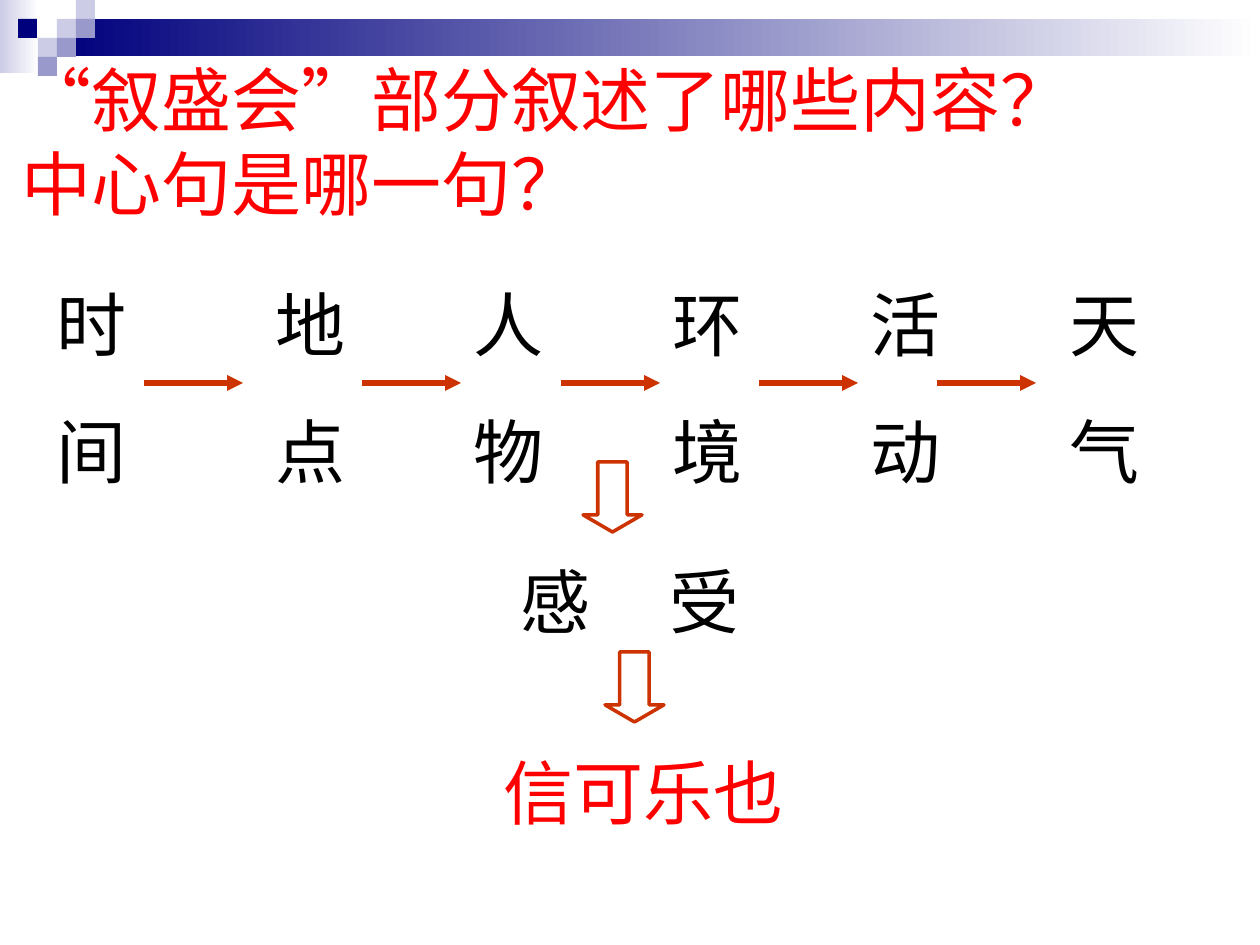
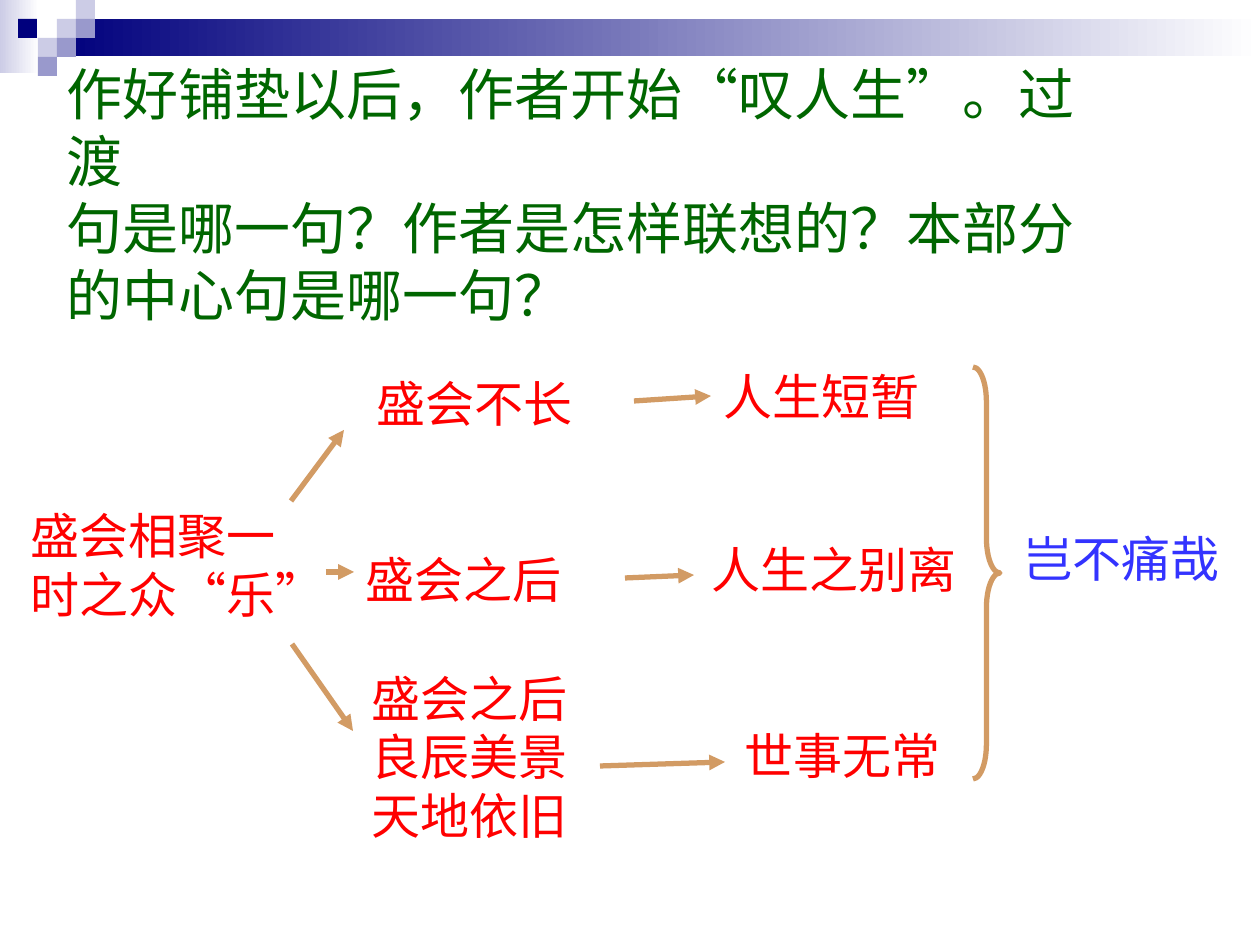
from dataclasses import dataclass

from lxml.etree import SubElement
from pptx import Presentation
from pptx.dml.color import RGBColor
from pptx.enum.dml import MSO_FILL
from pptx.enum.lang import MSO_LANGUAGE_ID as Language
from pptx.enum.shapes import MSO_CONNECTOR as Connector, MSO_SHAPE as Shape
from pptx.enum.text import MSO_ANCHOR as Anchor, MSO_AUTO_SIZE as AutoSize, PP_ALIGN as Align
from pptx.oxml.ns import qn
from pptx.util import Emu, Pt

EMU_PER_PX = 914400 / 126
TITLE_ONLY = 5
LEFT_SIDE, RIGHT_SIDE = 1, 3

WHITE = RGBColor(0xFF, 0xFF, 0xFF)
BLACK = RGBColor(0x00, 0x00, 0x00)
NAVY = RGBColor(0x00, 0x00, 0x7D)
PALE_LILAC = RGBColor(0xCC, 0xCC, 0xE6)
LILAC = RGBColor(0x99, 0x99, 0xCC)
RED = RGBColor(0xFF, 0x00, 0x00)
RUST = RGBColor(0xCC, 0x33, 0x00)
GREEN = RGBColor(0x00, 0x66, 0x00)
TAN = RGBColor(0xD2, 0x9B, 0x64)
BLUE = RGBColor(0x33, 0x33, 0xFF)


@dataclass(frozen=True)
class Box:
    """A rectangle in px."""

    left: int
    top: int
    width: int
    height: int

    def inside(self, left, top, width, height):
        """Return a box offset from this one's corner."""
        return Box(self.left + left, self.top + top, width, height)

    def emu(self):
        """Return the four lengths in EMU."""
        return [px(n) for n in (self.left, self.top, self.width, self.height)]


def px(length):
    """Turn px into EMU."""
    return Emu(round(length * EMU_PER_PX))


def set_values(target, values):
    """Set each attribute named in a dict."""
    for name, value in values.items():
        setattr(target, name, value)


def write(frame, lines, size, color, wrap=False, gap=0, tab=None):
    """Fill a text frame with one paragraph per line."""
    set_values(frame, {
        "text": "\n".join(lines),
        "word_wrap": wrap,
        "vertical_anchor": Anchor.TOP,
        "auto_size": AutoSize.NONE if wrap else AutoSize.SHAPE_TO_FIT_TEXT,
    })
    for index, para in enumerate(frame.paragraphs):
        set_values(para, {"alignment": Align.LEFT, "space_before": Pt(gap if index else 0)})
        if tab:
            stops = SubElement(para._p.get_or_add_pPr(), qn("a:tabLst"))
            SubElement(stops, qn("a:tab"), pos=str(px(tab)), algn="l")
        for span in para.runs:
            set_values(span.font, {"name": "Arial", "size": Pt(size),
                                   "language_id": Language.SIMPLIFIED_CHINESE})
            span.font.color.rgb = color


def add_text(page, box, lines, size, color, **options):
    """Add a text box."""
    label = page.shapes.add_textbox(*box.emu())
    write(label.text_frame, lines, size, color, **options)
    return label


def add_figure(page, kind, box, fill=None, line=None, width=2, adjustments=()):
    """Add a preset shape; a pair of fill colours makes a gradient."""
    figure = page.shapes.add_shape(kind, *box.emu())
    figure.shadow.inherit = False
    for index, value in enumerate(adjustments):
        figure.adjustments[index] = value
    if fill is None:
        figure.fill.background()
    elif isinstance(fill, list):
        figure.fill.gradient()
        figure.fill.gradient_angle = 0
        for stop, color in zip(figure.fill.gradient_stops, fill):
            stop.color.rgb = color
    else:
        figure.fill.solid()
        figure.fill.fore_color.rgb = fill
    if line is None:
        figure.line.fill.background()
    else:
        figure.line.color.rgb = line
        figure.line.width = Pt(width)


def add_arrow(page, box, start, end, color, source=None, target=None):
    """Add an arrow between two points of a box, joined to labels if given."""
    points = [px(n) for x, y in (start, end) for n in (box.left + x, box.top + y)]
    arrow = page.shapes.add_connector(Connector.STRAIGHT, *points)
    if source is not None:
        arrow.begin_connect(source, RIGHT_SIDE)
    if target is not None:
        arrow.end_connect(target, LEFT_SIDE)
    arrow.line.color.rgb = color
    arrow.line.width = Pt(3)
    properties = arrow.element.spPr
    SubElement(properties.find(qn("a:ln")), qn("a:tailEnd"), type="triangle")
    SubElement(properties, qn("a:effectLst"))


def add_band(page, box):
    """Draw the gradient band and its mosaic of squares."""
    add_figure(page, Shape.RECTANGLE, box.inside(0, 0, 39, 73), [PALE_LILAC, WHITE])
    add_figure(page, Shape.RECTANGLE, box.inside(57, 19, box.width - 57, 37), [NAVY, WHITE])
    squares = [(57, 19, PALE_LILAC), (76, 0, PALE_LILAC), (76, 19, LILAC),
               (38, 38, PALE_LILAC), (18, 19, NAVY), (57, 38, LILAC), (38, 57, LILAC)]
    for left, top, color in squares:
        add_figure(page, Shape.RECTANGLE, box.inside(left, top, 19, 19), color)


def add_page(deck, title_box, lines, size, color):
    """Add a slide with the band and a question as its title."""
    page = deck.slides.add_slide(deck.slide_layouts[TITLE_ONLY])
    add_band(page, Box(0, 0, 1260, 75))
    title = page.shapes.title
    set_values(title, dict(zip(("left", "top", "width", "height"), title_box.emu())))
    write(title.text_frame, lines, size, color)
    return page


def add_topics(page, box):
    """Place the row of vertical two-character topics and the arrows between."""
    columns = [("时间", 0, 218), ("地点", 219, 198), ("人物", 417, 152),
               ("环境", 616, 139), ("活动", 814, 132), ("天气", 1013, 132)]
    labels = [add_text(page, box.inside(left, 0, width, box.height), list(word), 40, BLACK,
                       wrap=True, gap=25)
              for word, left, width in columns]
    middle, length = box.height // 2, 99
    for index, start in enumerate((100, 318, 517, 715, 893)):
        end = start + length
        label, left = labels[index + 1], columns[index + 1][1]
        add_arrow(page, box, (start, middle), (end, middle), RUST,
                  target=label if end == left else None)


def add_conclusion(page, box):
    """Place the feeling and the key sentence, each under a block arrow."""
    for left, top in ((75, 0), (97, 190)):
        add_figure(page, Shape.DOWN_ARROW, box.inside(left, top, 59, 70), WHITE, RUST,
                   adjustments=(0.5, 0.29))
    add_text(page, box.inside(0, 90, 300, 97), ["感\t受"], 40, BLACK, wrap=True, tab=149)
    add_text(page, box.inside(-17, 281, 305, 97), ["信可乐也"], 40, RED)


def add_associations(page, box):
    """Place the chain of associations with its arrows."""
    notes = {
        "gathering": ((0, 132, 319, 131), ["盛会相聚一", "时之众“乐”"]),
        "short": ((346, 0, 221, 72), ["盛会不长"]),
        "after": ((335, 176, 272, 70), ["盛会之后"]),
        "scenery": ((341, 295, 221, 189), ["盛会之后", "良辰美景", "天地依旧"]),
        "brief": ((693, -7, 221, 72), ["人生短暂"]),
        "parting": ((681, 166, 270, 72), ["人生之别离"]),
        "change": ((714, 352, 221, 72), ["世事无常"]),
    }
    labels = {key: add_text(page, box.inside(*place), lines, 28, RED, wrap=key == "after")
              for key, (place, lines) in notes.items()}
    arrows = [((273, 134), (326, 63), None, None),
              ((616, 34), (690, 32), None, "brief"),
              ((308, 205), (336, 205), None, None),
              ((607, 211), (676, 208), "after", None),
              ((274, 277), (335, 364), None, None),
              ((582, 399), (707, 395), None, None)]
    for start, end, source, target in arrows:
        add_arrow(page, box, start, end, TAN, labels.get(source), labels.get(target))


def add_summary(page, box):
    """Place the closing brace and the central sentence."""
    add_figure(page, Shape.RIGHT_BRACE, box.inside(0, 0, 27, box.height), line=TAN, width=3,
               adjustments=(1.29, 0.5))
    add_text(page, box.inside(38, 155, 221, 72), ["岂不痛哉"], 28, BLUE)


def main():
    """Build and save the deck."""
    deck = Presentation()
    set_values(deck, {"slide_width": px(1260), "slide_height": px(945)})

    page = add_page(deck, Box(9, 50, 1074, 181),
                    ["“叙盛会”部分叙述了哪些内容？", "中心句是哪一句？"], 40, RED)
    add_topics(page, Box(44, 275, 1145, 216))
    add_conclusion(page, Box(508, 462, 300, 380))

    page = add_page(deck, Box(54, 53, 1090, 214),
                    ["作好铺垫以后，作者开始“叹人生”。过渡",
                     "句是哪一句？作者是怎样联想的？本部分",
                     "的中心句是哪一句？"], 32, GREEN)
    add_associations(page, Box(18, 367, 950, 484))
    add_summary(page, Box(973, 367, 259, 412))

    deck.save("out.pptx")


if __name__ == "__main__":
    main()
